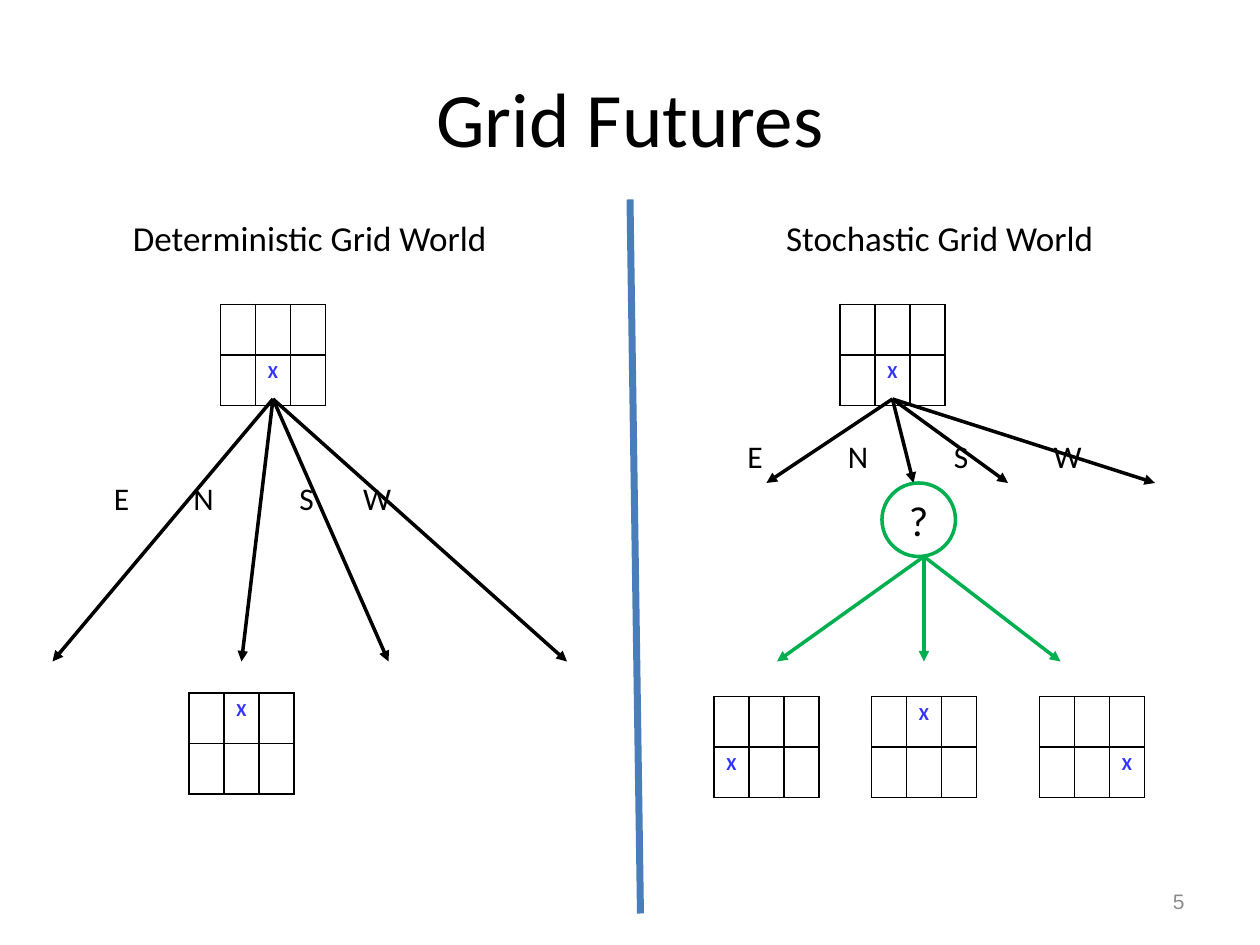
from lxml.etree import SubElement
from pptx import Presentation
from pptx.dml.color import RGBColor
from pptx.enum.shapes import MSO_CONNECTOR, MSO_SHAPE
from pptx.enum.text import MSO_ANCHOR, PP_ALIGN
from pptx.oxml.ns import qn
from pptx.util import Pt

COLORS = {
    "ink": "000000",
    "paper": "FFFFFF",
    "agent": "3333FF",
    "chance": "00B050",
    "divider": "4A7EBB",
    "number": "8B8B8B",
}


def color(name):
    return RGBColor.from_string(COLORS[name])


def write(frame, text, size=18, ink="ink", font="Calibri", bold=False,
          align=PP_ALIGN.LEFT, anchor=MSO_ANCHOR.TOP, tabs=()):
    """Fill a text frame with one formatted paragraph."""
    frame.word_wrap = True
    frame.vertical_anchor = anchor
    para = frame.paragraphs[0]
    para.alignment = align
    if tabs:
        stops = SubElement(para._p.get_or_add_pPr(), qn("a:tabLst"))
        for stop in tabs:
            SubElement(stops, qn("a:tab"), pos=str(Pt(stop)), algn="l")
    span = para.add_run()
    span.text = text
    span.font.name = font
    span.font.size = Pt(size)
    span.font.bold = bold
    span.font.color.rgb = color(ink)


class GridSlide:
    cell_width, cell_height = 20, 28.8
    border_width = 0.96
    arrow_width = 2

    def __init__(self, slide):
        self.slide = slide
        self.shapes = slide.shapes

    def title(self, text, left, top, width, height):
        box = self.shapes.title
        box.left, box.top, box.width, box.height = map(Pt, (left, top, width, height))
        write(box.text_frame, text, size=44, align=PP_ALIGN.CENTER,
              anchor=MSO_ANCHOR.MIDDLE)

    def label(self, text, left, top, width, height, **style):
        box = self.shapes.add_textbox(Pt(left), Pt(top), Pt(width), Pt(height))
        write(box.text_frame, text, **style)

    def grid(self, left, top, agent_row, agent_column):
        """Draw a 2 by 3 grid world with the agent in one cell."""
        table = self.shapes.add_table(2, 3, Pt(left), Pt(top), Pt(3 * self.cell_width),
                                      Pt(2 * self.cell_height)).table
        table.first_row = table.horz_banding = False
        for column in table.columns:
            column.width = Pt(self.cell_width)
        for row in table.rows:
            row.height = Pt(self.cell_height)
        for cell in table.iter_cells():
            cell.margin_left = cell.margin_right = cell.margin_bottom = 0
            cell.margin_top = Pt(3.6)
            self.border(cell)
            cell.fill.solid()
            cell.fill.fore_color.rgb = color("paper")
        write(table.cell(agent_row, agent_column).text_frame, "X", size=10.5,
              ink="agent", bold=True, align=PP_ALIGN.CENTER)

    def border(self, cell):
        properties = cell._tc.get_or_add_tcPr()
        for side in ("lnL", "lnR", "lnT", "lnB"):
            edge = SubElement(properties, qn(f"a:{side}"), w=str(Pt(self.border_width)))
            fill = SubElement(edge, qn("a:solidFill"))
            SubElement(fill, qn("a:srgbClr"), val=COLORS["ink"])

    def line(self, start, end, ink, width):
        line = self.shapes.add_connector(MSO_CONNECTOR.STRAIGHT,
                                         *map(Pt, (*start, *end)))
        line.line.color.rgb = color(ink)
        line.line.width = Pt(width)
        SubElement(line._element.spPr, qn("a:effectLst"))
        return line

    def fan(self, start, ends, bottom, ink="ink"):
        """Draw arrows from one point to several places on one level."""
        for end in ends:
            arrow = self.line(start, (end, bottom), ink, self.arrow_width)
            SubElement(arrow.line._get_or_add_ln(), qn("a:tailEnd"), type="triangle")

    def chance_node(self, text, left, top, size):
        node = self.shapes.add_shape(MSO_SHAPE.OVAL, Pt(left), Pt(top),
                                     Pt(size), Pt(size))
        node.shadow.inherit = False
        node.fill.solid()
        node.fill.fore_color.rgb = color("paper")
        node.line.color.rgb = color("chance")
        node.line.width = Pt(self.arrow_width)
        write(node.text_frame, text, size=24, align=PP_ALIGN.CENTER,
              anchor=MSO_ANCHOR.MIDDLE)


def main():
    deck = Presentation()
    deck.slide_width, deck.slide_height = Pt(720), Pt(540)
    page = GridSlide(deck.slides.add_slide(deck.slide_layouts[5]))

    # Title, slide number and column headings
    page.title("Grid Futures", 36, 21.6, 648, 90)
    page.label("5", 516, 500.5, 168, 28.75, size=12, font="Arial", ink="number",
               align=PP_ALIGN.RIGHT, anchor=MSO_ANCHOR.MIDDLE)
    for heading, left in (("Deterministic Grid World", 48), ("Stochastic Grid World", 408)):
        page.label(heading, left, 120, 258, 31, size=20, align=PP_ALIGN.CENTER)

    # Deterministic world: each action has one outcome
    page.grid(126, 174, 1, 1)
    page.grid(108, 396, 0, 1)
    page.fan((156, 228), (30, 138, 222, 324), 378)
    page.label("\tE\tN\tS\tW", 54, 270, 258, 29, tabs=(4, 49.5, 110, 146.5))

    # Stochastic world: actions lead to a chance node
    page.grid(480, 174, 1, 1)
    page.fan((510, 228), (438, 522, 576, 660), 276)
    page.label("E\tN\tS\tW", 420, 246, 258, 29, tabs=(57.5, 118, 175))

    # Divider between the two worlds
    page.line((360, 114), (366, 522), "divider", 4)

    # Chance node and its possible outcomes
    page.chance_node("?", 504, 276, 42)
    page.fan((528, 318), (444, 528, 606), 378, ink="chance")
    for left, row, column in ((498, 0, 1), (408, 1, 0), (594, 1, 2)):
        page.grid(left, 398, row, column)

    deck.save("out.pptx")


if __name__ == "__main__":
    main()
